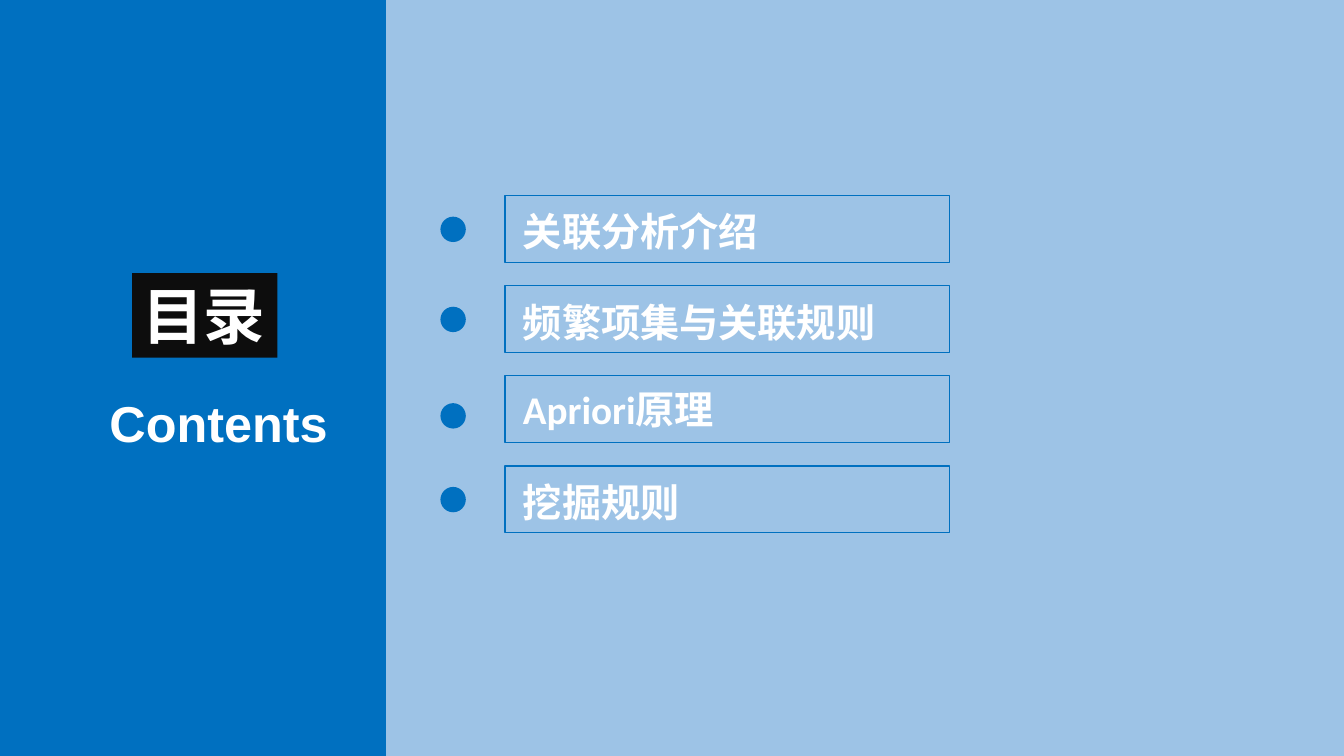
from lxml import etree
from pptx import Presentation
from pptx import util as u
from pptx.dml.color import RGBColor
from pptx.enum import shapes, text
from pptx.oxml.ns import qn

BLUE, PALE, BLACK, WHITE = "0070C0", "9DC3E6", "0D0D0D", "FFFFFF"
CJK = "Noto Sans CJK SC"


def colour(hex_code):
    return RGBColor.from_string(hex_code)


class ContentsSlide:
    """Holds the slide and its style, and draws each kind of element."""

    def __init__(self, deck):
        self.slide = deck.slides.add_slide(deck.slide_layouts[5])
        self.tree = self.slide.shapes

    def place(self, item, box):
        for side, length in zip(("left", "top", "width", "height"), box):
            setattr(item, side, u.Cm(length))

    def fill(self, item, hex_code, opacity=100):
        item.fill.solid()
        item.fill.fore_color.rgb = colour(hex_code)
        if opacity < 100:
            tint = item.fill._xPr.find(qn("a:solidFill"))[0]
            etree.SubElement(tint, qn("a:alpha"), val=str(opacity * 1000))

    def set_text(self, item, words, size, latin, inset=0.25, wrap=False, **spacing):
        frame = item.text_frame
        frame.text = words
        layout = {"auto_size": text.MSO_AUTO_SIZE.NONE, "word_wrap": wrap,
                  "vertical_anchor": text.MSO_ANCHOR.MIDDLE,
                  "margin_left": u.Cm(inset)}
        for name, value in layout.items():
            setattr(frame, name, value)
        paragraph = frame.paragraphs[0]
        for name, value in {"alignment": text.PP_ALIGN.LEFT, **spacing}.items():
            setattr(paragraph, name, value)
        font = paragraph.runs[0].font
        for name, value in {"size": u.Pt(size), "bold": True, "name": latin}.items():
            setattr(font, name, value)
        font.color.rgb = colour(WHITE)
        east_asian = etree.SubElement(font._element, qn("a:ea"))
        east_asian.set("typeface", CJK)

    def shape(self, box, hex_code, kind="RECTANGLE", outline=None, opacity=100):
        item = self.tree.add_shape(getattr(shapes.MSO_SHAPE, kind), *map(u.Cm, box))
        item.shadow.inherit = False
        self.fill(item, hex_code, opacity)
        if outline:
            item.line.color.rgb = colour(outline)
            item.line.width = u.Pt(1)
        else:
            item.line.fill.background()
        return item

    def title(self, words, box):
        heading = self.tree.title
        self.tree._spTree.append(heading._element)  # bring above the panels
        self.place(heading, box)
        self.fill(heading, BLACK)
        self.set_text(heading, words, 44, CJK)

    def label(self, words, box):
        subtitle = self.tree.add_textbox(*map(u.Cm, box))
        self.set_text(subtitle, words, 36, "Arial")

    def entry(self, words, top, dot_drop, **spacing):
        self.shape((11.1, top + dot_drop, 0.64, 0.64), BLUE, "OVAL")
        topic = self.shape((12.73, top, 11.2, 1.68), PALE, outline=BLUE, opacity=50)
        self.set_text(topic, words, 28, "Calibri", inset=0.45, wrap=True, **spacing)


def main():
    deck = Presentation()
    deck.slide_width, deck.slide_height = u.Cm(33.87), u.Cm(19.05)
    contents = ContentsSlide(deck)

    # Side panel and main panel
    contents.shape((0, 0, 9.73, 19.05), BLUE)
    contents.shape((9.73, 0, 24.14, 19.05), PALE)

    # Heading
    contents.title("目录", (3.33, 6.88, 3.66, 2.13))
    contents.label("Contents", (2.51, 9.75, 6.07, 1.8))

    # Topics at an even pitch
    roomy = {"line_spacing": 1.1, "space_before": u.Pt(5.6)}
    topics = [("关联分析介绍", 0.53, roomy), ("频繁项集与关联规则", 0.53, roomy),
              ("Apriori原理", 0.69, {}), ("挖掘规则", 0.53, roomy)]
    for row, (topic, dot_drop, spacing) in enumerate(topics):
        contents.entry(topic, 4.93 + 2.27 * row, dot_drop, **spacing)

    deck.save("out.pptx")


if __name__ == "__main__":
    main()
